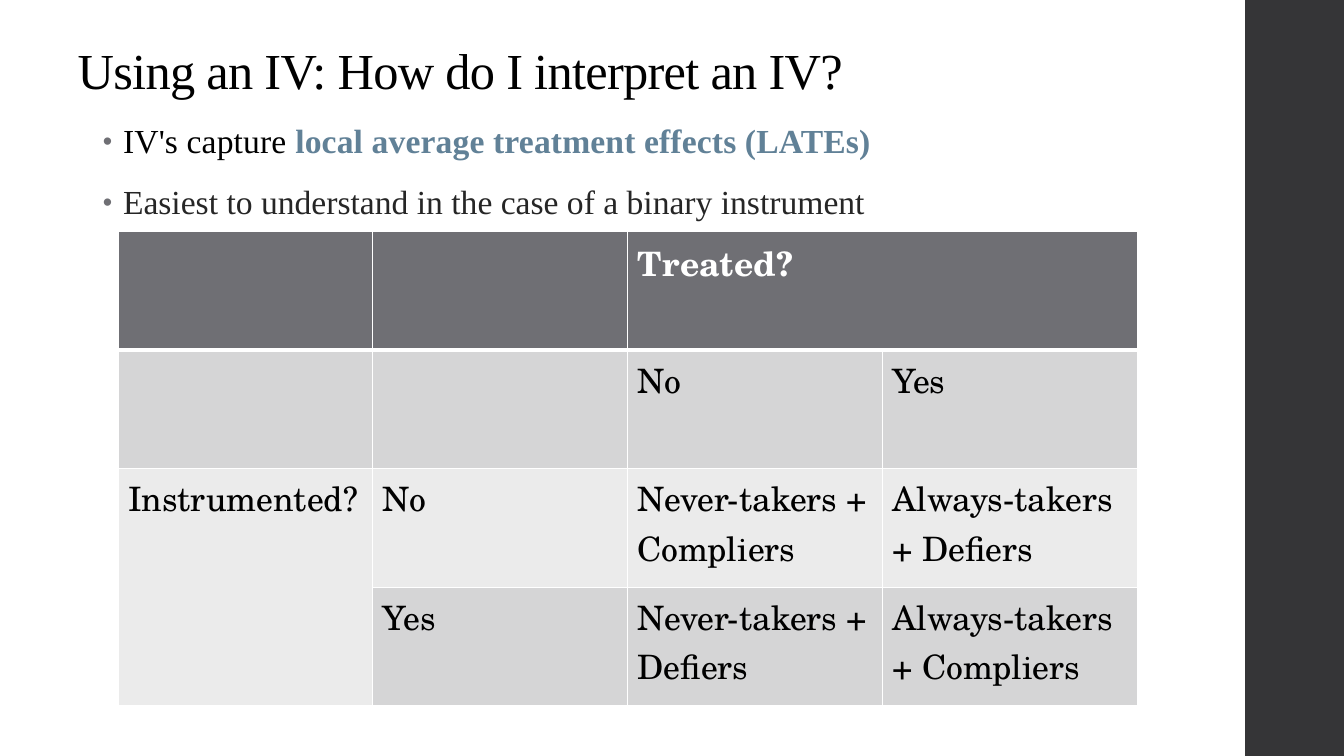
from lxml import etree
from pptx import Presentation
from pptx.dml.color import RGBColor
from pptx.enum.shapes import MSO_SHAPE
from pptx.enum.text import MSO_ANCHOR, MSO_AUTO_SIZE, PP_ALIGN
from pptx.oxml.ns import qn
from pptx.util import Inches, Pt

RECT = MSO_SHAPE.RECTANGLE
TOP, BOTTOM = MSO_ANCHOR.TOP, MSO_ANCHOR.BOTTOM
NO_FIT = MSO_AUTO_SIZE.NONE
LEFT = PP_ALIGN.LEFT

BLACK = RGBColor(0x00, 0x00, 0x00)
WHITE = RGBColor(0xFF, 0xFF, 0xFF)
INK = RGBColor(0x26, 0x26, 0x26)
BLUE = RGBColor(0x61, 0x81, 0x97)
GREY = RGBColor(0x6F, 0x6F, 0x74)
DARK = RGBColor(0x35, 0x35, 0x37)
MID = RGBColor(0xD5, 0xD5, 0xD6)
PALE = RGBColor(0xEB, 0xEB, 0xEB)

SERIF = "Times New Roman"
SCHOLA = "TeX Gyre Schola"

TITLE = "Using an IV: How do I interpret an IV?"
POINTS = [
    [("IV's capture ", {"color": BLACK, "track": 10}),
     ("local average treatment effects (LATEs)",
      {"color": BLUE, "bold": True, "track": 10})],
    [("Easiest to understand in the case of a binary instrument",
      {"color": INK})],
]
ROWS = [
    ["", "", "Treated?", ""],
    ["", "", "No", "Yes"],
    ["Instrumented?", "No", "Never-takers + Compliers",
     "Always-takers + Defiers"],
    ["", "Yes", "Never-takers + Defiers", "Always-takers + Compliers"],
]
FILLS = [GREY, MID, PALE, MID]
MERGES = [((0, 2), (0, 3)), ((2, 0), (3, 0))]


def write(para, text, size=24, face=SERIF, color=BLACK, bold=False, track=0):
    """Add a formatted run to a paragraph."""
    run = para.add_run()
    run.text = text
    font = run.font
    font.size, font.name, font.bold = Pt(size), face, bold
    font.color.rgb = color
    font._element.set("spc", str(track))


def place(shape, box):
    """Move a shape to a box given in inches."""
    shape.left, shape.top, shape.width, shape.height = map(Inches, box)


def add_node(parent, tag, **attrs):
    """Append an XML element with its attributes."""
    node = etree.SubElement(parent, qn(tag))
    for key, value in attrs.items():
        node.set(key, str(value))
    return node


def add_color(parent, color):
    """Append a colour value to an XML element."""
    add_node(parent, "a:srgbClr", val=color)


def set_bullet(para):
    """Give a paragraph a small grey bullet and a hanging indent."""
    props = para._p.get_or_add_pPr()
    props.set("marL", str(Inches(0.2)))
    props.set("indent", str(Inches(-0.2)))
    add_color(add_node(props, "a:buClr"), GREY)
    add_node(props, "a:buSzPct", val=80000)
    add_node(props, "a:buFont", typeface="Arial")
    add_node(props, "a:buChar", char="•")


def set_edges(cell, **widths):
    """Draw white cell borders with widths in points."""
    props = cell._tc.get_or_add_tcPr()
    for side in "LRTB":
        line = add_node(props, f"a:ln{side}", w=Pt(widths.get(side, 1)))
        add_color(add_node(line, "a:solidFill"), WHITE)


def add_bar(slide, box):
    """Draw the dark bar at the side."""
    bar = slide.shapes.add_shape(RECT, *map(Inches, box))
    bar.shadow.inherit = False
    bar.fill.solid()
    bar.fill.fore_color.rgb = DARK
    bar.line.fill.background()


def add_title(slide, box):
    """Fill the title placeholder."""
    title = slide.shapes.title
    place(title, box)
    frame = title.text_frame
    frame.auto_size = NO_FIT
    frame.vertical_anchor = BOTTOM
    para = frame.paragraphs[0]
    para.alignment, para.line_spacing = LEFT, 0.9
    write(para, TITLE, size=36, track=-50)


def add_list(slide, box):
    """Fill the body placeholder with bullet points."""
    body = slide.placeholders[1]
    place(body, box)
    frame = body.text_frame
    frame.auto_size = NO_FIT
    frame.vertical_anchor = TOP
    for i, runs in enumerate(POINTS):
        para = frame.add_paragraph() if i else frame.paragraphs[0]
        para.alignment, para.line_spacing = LEFT, 0.95
        para.space_before, para.space_after = Pt(14), Pt(2)
        set_bullet(para)
        for text, style in runs:
            write(para, text, **style)


def add_grid(slide, box):
    """Build the table of treated against instrumented groups."""
    shape = slide.shapes.add_table(len(ROWS), len(ROWS[0]), *map(Inches, box))
    table = shape.table
    for r, row in enumerate(ROWS):
        for c, text in enumerate(row):
            cell = table.cell(r, c)
            set_edges(cell, T=3 if r == 1 else 1, B=3 if r == 0 else 1)
            cell.fill.solid()
            cell.fill.fore_color.rgb = FILLS[r]
            if text:
                write(cell.text_frame.paragraphs[0], text, face=SCHOLA,
                      color=BLACK if r else WHITE, bold=r == 0)
    for first, last in MERGES:
        table.cell(*first).merge(table.cell(*last))


def main():
    """Build the slide and save it."""
    deck = Presentation()
    deck.slide_width, deck.slide_height = Inches(13.33), Inches(7.5)
    slide = deck.slides.add_slide(deck.slide_layouts[1])
    add_bar(slide, (12.35, 0, 0.98, 7.5))
    add_title(slide, (0.67, 0.37, 11.42, 0.68))
    add_list(slide, (0.92, 1.17, 10.92, 5.62))
    add_grid(slide, (1.17, 2.3, 10.11, 4.7))
    deck.save("out.pptx")


if __name__ == "__main__":
    main()
